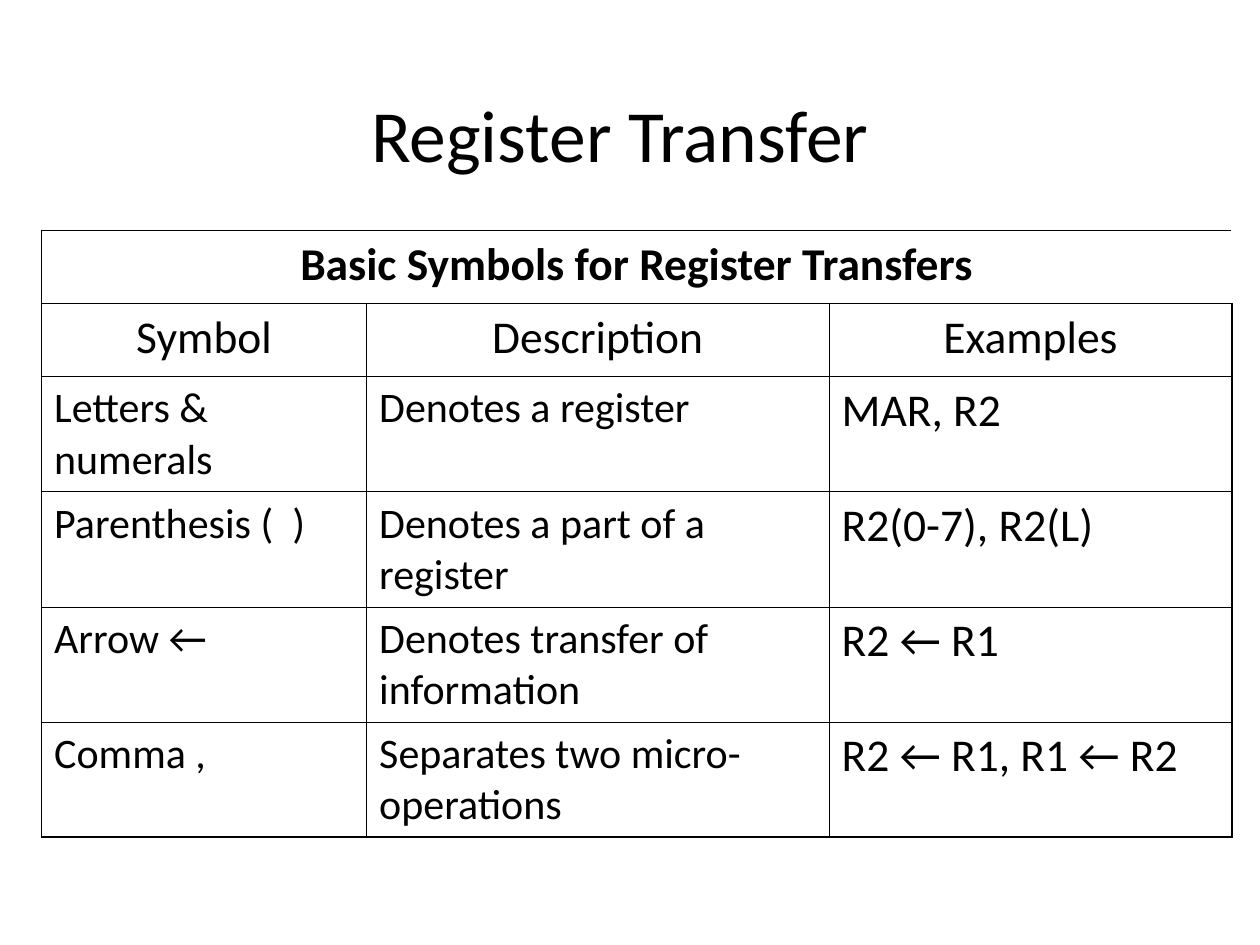
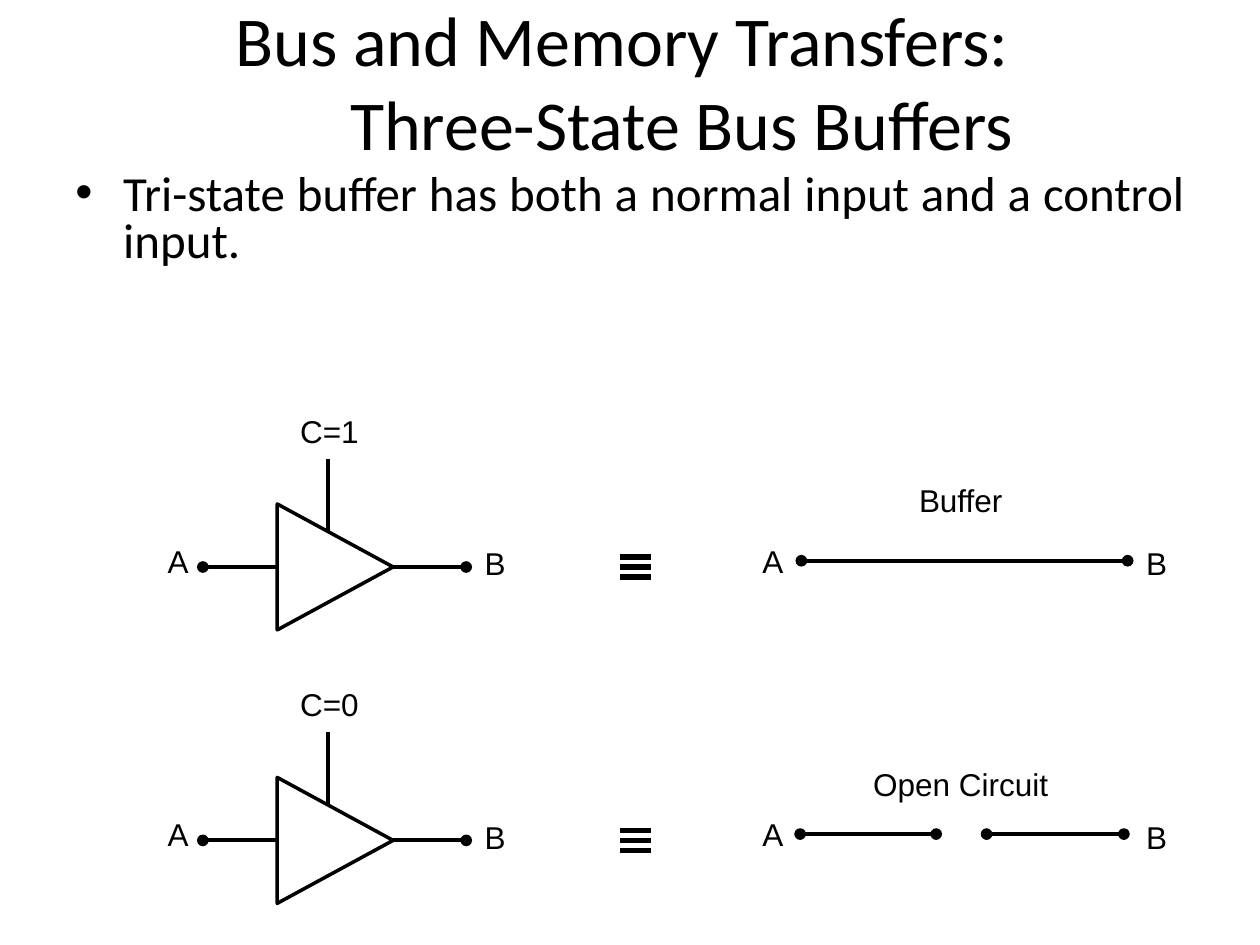
from dataclasses import dataclass
from typing import Any

import lxml.etree
import pptx
import pptx.dml.color
import pptx.enum.shapes
import pptx.enum.text
import pptx.oxml.ns
import pptx.util

Inches = pptx.util.Inches
Pt = pptx.util.Pt
Align = pptx.enum.text.PP_ALIGN
Anchor = pptx.enum.text.MSO_ANCHOR

# Shared look
BLACK = "000000"
WHITE = "FFFFFF"
HEAD_FONT = "Calibri"
LABEL_FONT = "Arial"
WIRE = 2.25
THICK, THIN = 1.08, 0.45

# Register table
WIDTHS = (2.58, 3.67, 3.2)
HEIGHTS = (0.58, 0.58, 0.9, 0.9, 0.9, 0.9)
ROWS = (
    ("Basic Symbols for Register Transfers", "", ""),
    ("Symbol", "Description", "Examples"),
    ("Letters & numerals", "Denotes a register", "MAR, R2"),
    ("Parenthesis (  )", "Denotes a part of a register", "R2(0-7), R2(L)"),
    ("Arrow ←", "Denotes transfer of information", "R2 ← R1"),
    ("Comma ,", "Separates two micro-operations", "R2 ← R1, R1 ← R2"),
)


@dataclass(frozen=True)
class Box:
    left: float
    top: float
    width: float
    height: float


@dataclass(frozen=True)
class Wire:
    """A line between two points, with an optional dot at each end."""
    x1: float
    y1: float
    x2: float
    y2: float
    head: bool = False
    tail: bool = False


@dataclass(frozen=True)
class Gate:
    """One buffer with its matching circuit."""
    drop: float
    state: str
    name: str
    name_top: float
    paths: tuple[tuple[float, float], ...]


GATES = (
    Gate(0, "C=1", "Buffer", 3.77, ((6.36, 8.95),)),
    Gate(2.17, "C=0", "Open Circuit", 6.02, ((6.35, 7.43), (7.83, 8.92))),
)


def color(code: str) -> pptx.dml.color.RGBColor:
    return pptx.dml.color.RGBColor.from_string(code)


def add_tag(parent: Any, tag: str, **attrs: str) -> Any:
    return lxml.etree.SubElement(parent, pptx.oxml.ns.qn(tag), attrs)


def set_font(para: Any, size: float, name: str, bold: bool = False) -> None:
    para.font.size = Pt(size)
    para.font.name = name
    para.font.bold = bold
    para.font.color.rgb = color(BLACK)


def add_text(slide: Any, box: Box, text: str, size: float, name: str,
             align: Any = Align.CENTER, anchor: Any = Anchor.TOP,
             hang: float = 0, bullet: str = "") -> Any:
    shape = slide.shapes.add_textbox(Inches(box.left), Inches(box.top),
                                     Inches(box.width), Inches(box.height))
    frame = shape.text_frame
    frame.word_wrap = True
    frame.vertical_anchor = anchor
    para = frame.paragraphs[0]
    para.text = text
    para.alignment = align
    if hang:
        props = para._p.get_or_add_pPr()
        props.set("marL", str(Inches(hang)))
        props.set("indent", str(-Inches(hang)))
        if bullet:
            add_tag(props, "a:buFont", typeface=LABEL_FONT)
            add_tag(props, "a:buChar", char=bullet)
    set_font(para, size, name)
    return shape


def add_title(slide: Any, box: Box, text: str, size: float, hang: float = 0) -> None:
    add_text(slide, box, text, size, HEAD_FONT, anchor=Anchor.MIDDLE, hang=hang)


def add_label(slide: Any, left: float, top: float, width: float, text: str) -> None:
    shape = add_text(slide, Box(left, top, width, 0.4), text, 18, LABEL_FONT)
    shape.text_frame.auto_size = pptx.enum.text.MSO_AUTO_SIZE.SHAPE_TO_FIT_TEXT


def add_wire(shapes: Any, wire: Wire, weight: float = WIRE) -> None:
    line = shapes.add_connector(
        pptx.enum.shapes.MSO_CONNECTOR.STRAIGHT,
        Inches(wire.x1), Inches(wire.y1), Inches(wire.x2), Inches(wire.y2))
    line.line.color.rgb = color(BLACK)
    line.line.width = Pt(weight)
    stroke = line.line._get_or_add_ln()
    for dot, tag in ((wire.head, "a:headEnd"), (wire.tail, "a:tailEnd")):
        if dot:
            add_tag(stroke, tag, type="oval")
    add_tag(line._element.spPr, "a:effectLst")


def add_edges(cell: Any, row: int, col: int) -> None:
    """Thick lines round the table, thin ones inside, none within the banner."""
    outer = {"L": col == 0, "R": col == len(WIDTHS) - 1,
             "T": row == 0, "B": row == len(ROWS) - 1}
    props = cell._tc.get_or_add_tcPr()
    for side, edge in outer.items():
        if row == 0 and side in "LR" and not edge:
            continue
        line = add_tag(props, f"a:ln{side}", w=str(Pt(THICK if edge else THIN)))
        add_tag(add_tag(line, "a:solidFill"), "a:srgbClr", val=BLACK)


def add_grid(slide: Any, box: Box) -> None:
    grid = slide.shapes.add_table(
        len(ROWS), len(WIDTHS), Inches(box.left), Inches(box.top),
        Inches(box.width), Inches(box.height)).table
    grid.first_row = grid.horz_banding = False
    for col, width in enumerate(WIDTHS):
        grid.columns[col].width = Inches(width)
    grid.cell(0, 0).merge(grid.cell(0, len(WIDTHS) - 1))
    for row, (height, texts) in enumerate(zip(HEIGHTS, ROWS)):
        grid.rows[row].height = Inches(height)
        for col, text in enumerate(texts):
            cell = grid.cell(row, col)
            add_edges(cell, row, col)
            cell.fill.background()
            if cell.is_spanned:
                continue
            para = cell.text_frame.paragraphs[0]
            para.text = text
            para.alignment = Align.CENTER if row < 2 else Align.LEFT
            small = row >= 2 and col < 2
            set_font(para, 24 if small else 26, HEAD_FONT, bold=row == 0)


def add_gate(slide: Any, gate: Gate) -> None:
    mid = 4.5 + gate.drop
    # Buffer symbol and its leads
    body = slide.shapes.add_shape(
        pptx.enum.shapes.MSO_SHAPE.ISOSCELES_TRIANGLE,
        Inches(2.16), Inches(mid - 0.46), Inches(1), Inches(0.92))
    body.rotation = 90
    body.shadow.inherit = False
    body.fill.solid()
    body.fill.fore_color.rgb = color(WHITE)
    body.line.color.rgb = color(BLACK)
    body.line.width = Pt(2)
    add_wire(slide.shapes, Wire(3.11, mid, 3.7, mid, tail=True))
    add_wire(slide.shapes, Wire(1.61, mid, 2.2, mid, head=True))
    add_wire(slide.shapes, Wire(2.6, mid - 0.28, 2.6, mid - 0.86))
    add_label(slide, 1.45, mid - 1.28, 2.33, gate.state)

    # Sign of equal meaning
    sign = slide.shapes.add_group_shape()
    for step in (-1, 0, 1):
        y = mid + step * 0.08
        add_wire(sign.shapes, Wire(4.92, y, 5.17, y), weight=3)

    # Matching circuit
    for start, end in gate.paths:
        add_wire(slide.shapes,
                 Wire(start, mid - 0.05, end, mid - 0.05, head=True, tail=True))
    add_label(slide, 6.75, gate.name_top, 1.75, gate.name)

    # End names on both sides
    for a_left, b_left in ((1.08, 3.69), (5.8, 8.94)):
        add_label(slide, a_left, mid - 0.25, 0.67, "A")
        add_label(slide, b_left, mid - 0.23, 0.48, "B")


def main() -> None:
    deck = pptx.Presentation()
    deck.slide_width, deck.slide_height = Inches(10), Inches(7.5)
    blank = deck.slide_layouts[6]

    # Slide 1: symbols
    slide = deck.slides.add_slide(blank)
    add_grid(slide, Box(0.33, 1.83, sum(WIDTHS), sum(HEIGHTS)))
    add_title(slide, Box(0.42, 0.58, 9, 0.95), "Register Transfer", 42)

    # Slide 2: buffers
    slide = deck.slides.add_slide(blank)
    add_title(slide, Box(0.5, 0.08, 9, 1.12),
              "Bus and Memory Transfers: \vThree-State Bus Buffers", 40, hang=0.82)
    for gate in GATES:
        add_gate(slide, gate)
    point = add_text(
        slide, Box(0.5, 1.33, 9, 2),
        "Tri-state buffer has both a normal input and a control input.",
        28, HEAD_FONT, align=Align.JUSTIFY, hang=0.38, bullet="•")
    point.text_frame.paragraphs[0].line_spacing = 0.8

    deck.save("out.pptx")


if __name__ == "__main__":
    main()
